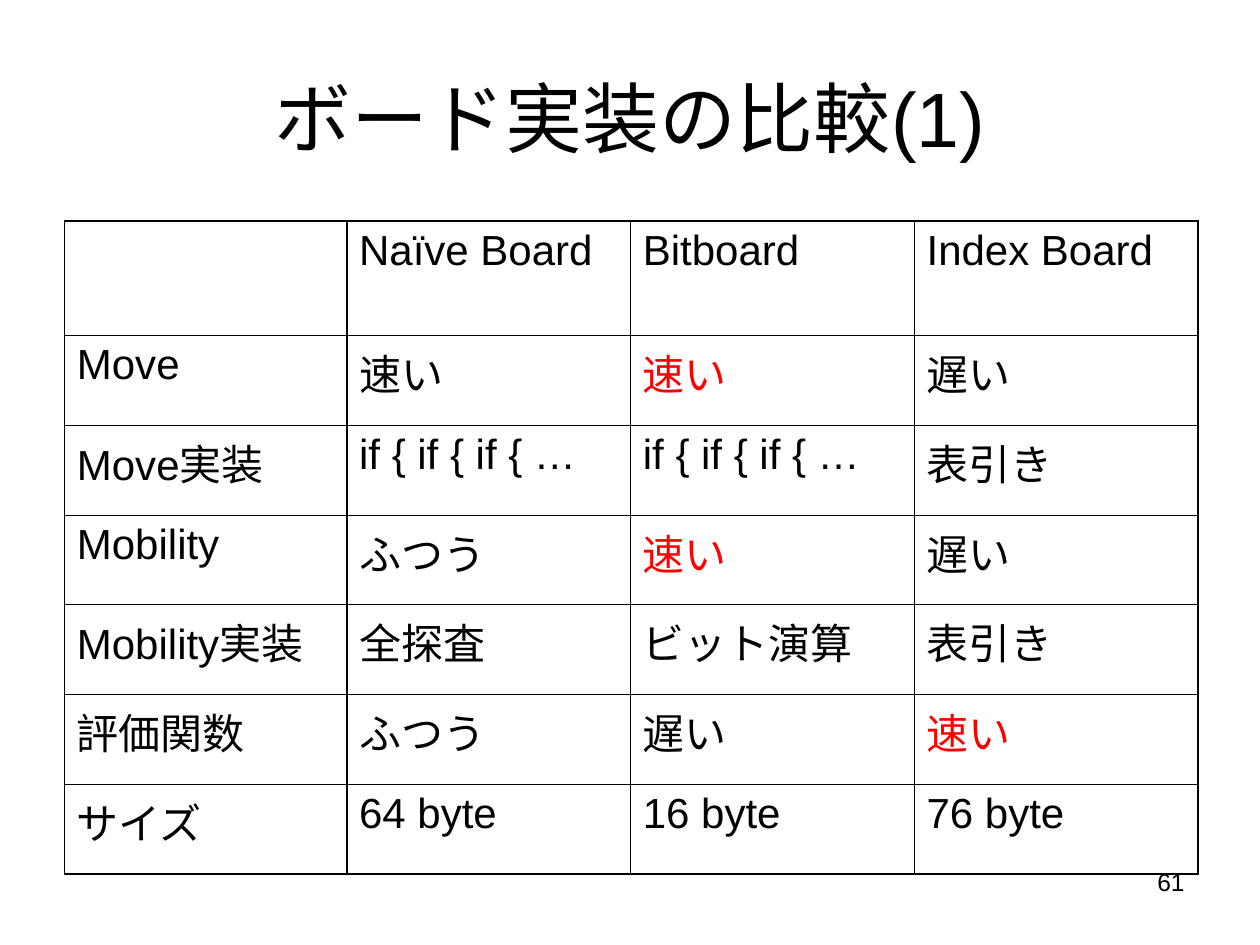
from dataclasses import dataclass

from lxml.etree import SubElement
from pptx import Presentation
from pptx.dml.color import RGBColor as Color
from pptx.enum.text import MSO_ANCHOR as Anchor, PP_ALIGN as Align
from pptx.oxml.ns import qn
from pptx.util import Cm, Pt


@dataclass(frozen=True)
class Theme:
    font: str = "Arial"
    ink: str = "000000"
    best: str = "FF0000"
    title_size: int = 44
    cell_size: int = 24
    number_size: int = 14
    thick: float = 1.08
    thin: float = 0.45
    inset_x: float = 0.25
    inset_y: float = 0.13


COMPARISON = [
    ["", "Naïve Board", "Bitboard", "Index Board"],
    ["Move", "速い", "速い", "遅い"],
    ["Move実装", "if { if { if { …", "if { if { if { …", "表引き"],
    ["Mobility", "ふつう", "速い", "遅い"],
    ["Mobility実装", "全探査", "ビット演算", "表引き"],
    ["評価関数", "ふつう", "遅い", "速い"],
    ["サイズ", "64 byte", "16 byte", "76 byte"],
]
BEST_CELLS = {(1, 2), (3, 2), (5, 3)}


class SlideBuilder:
    def __init__(self, slide, theme):
        self.slide = slide
        self.theme = theme

    def style(self, para, size, color, align=Align.LEFT):
        para.alignment = align
        for span in para.runs:
            span.font.name = self.theme.font
            span.font.size = Pt(size)
            span.font.color.rgb = Color.from_string(color)

    def inset(self, target):
        target.margin_left = target.margin_right = Cm(self.theme.inset_x)
        target.margin_top = target.margin_bottom = Cm(self.theme.inset_y)

    def text(self, words, left, top, width, height, size, align, anchor):
        box = self.slide.shapes.add_textbox(Cm(left), Cm(top), Cm(width), Cm(height))
        frame = box.text_frame
        frame.word_wrap = True
        frame.vertical_anchor = anchor
        self.inset(frame)
        frame.text = words
        self.style(frame.paragraphs[0], size, self.theme.ink, align)

    def border(self, cell, sides):
        properties = cell._tc.get_or_add_tcPr()
        for index, (side, width) in enumerate(sides.items()):
            line = SubElement(properties, qn(f"a:ln{side}"), w=str(Pt(width)))
            fill = SubElement(line, qn("a:solidFill"))
            SubElement(fill, qn("a:srgbClr"), val=self.theme.ink)
            properties.insert(index, line)

    def table(self, rows, best, left, top, widths, heights):
        theme = self.theme
        grid = self.slide.shapes.add_table(
            len(rows), len(widths), Cm(left), Cm(top),
            Cm(sum(widths)), Cm(sum(heights))).table
        grid.first_row = grid.horz_banding = False
        for column, width in zip(grid.columns, widths):
            column.width = Cm(width)
        for row, height in zip(grid.rows, heights):
            row.height = Cm(height)

        def weight(edge, count):
            return theme.thick if edge in (0, 1, count) else theme.thin

        for r, row in enumerate(rows):
            for c, words in enumerate(row):
                cell = grid.cell(r, c)
                self.inset(cell)
                cell.vertical_anchor = Anchor.TOP
                cell.fill.background()
                cell.text_frame.text = words
                color = theme.best if (r, c) in best else theme.ink
                self.style(cell.text_frame.paragraphs[0], theme.cell_size, color)
                self.border(cell, {
                    "L": weight(c, len(widths)),
                    "R": weight(c + 1, len(widths)),
                    "T": weight(r, len(rows)),
                    "B": weight(r + 1, len(rows)),
                })


def main():
    deck = Presentation()
    deck.slide_width, deck.slide_height = Cm(25.4), Cm(19.05)
    theme = Theme()
    page = SlideBuilder(deck.slides.add_slide(deck.slide_layouts[6]), theme)
    page.text("ボード実装の比較(1)", 1.27, 0.76, 22.86, 3.18,
              theme.title_size, Align.CENTER, Anchor.MIDDLE)
    page.table(COMPARISON, BEST_CELLS, 1.3, 4.45,
               [5.69] + [5.72] * 3, [2.31] + [1.81] * 6)
    page.text("61", 18.21, 17.35, 5.92, 1.32,
              theme.number_size, Align.RIGHT, Anchor.TOP)
    deck.save("out.pptx")


if __name__ == "__main__":
    main()
